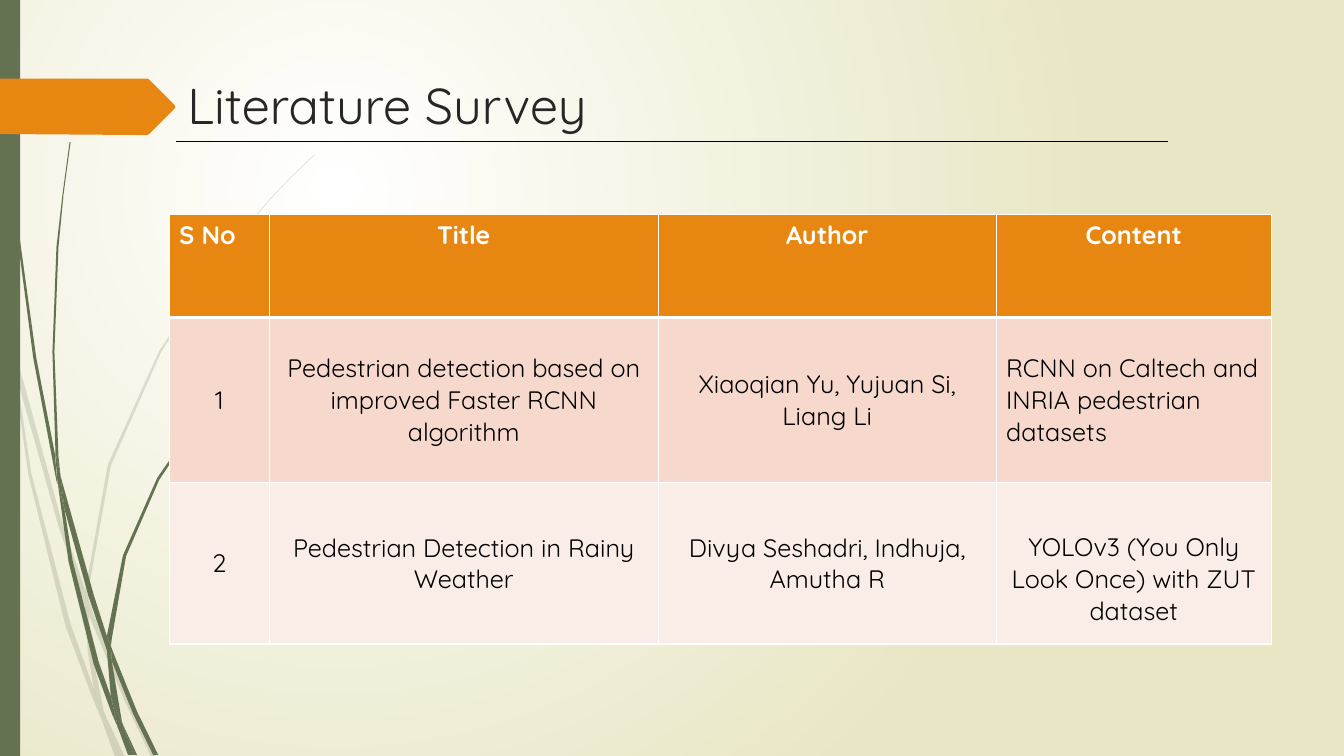
from lxml import etree
from pptx import Presentation
from pptx.dml.color import RGBColor
from pptx.enum import shapes, text
from pptx.oxml import ns
from pptx.util import Inches, Pt

GREEN = RGBColor(0x64, 0x72, 0x52)
ORANGE = RGBColor(0xE7, 0x87, 0x12)
PEACH = RGBColor(0xF6, 0xD9, 0xCC)
PALE_PEACH = RGBColor(0xFA, 0xED, 0xE7)
CREAM = RGBColor(0xE8, 0xE6, 0xC4)
WHITE = RGBColor(0xFF, 0xFF, 0xFF)
BLACK = RGBColor(0, 0, 0)
CHARCOAL = RGBColor(0x26, 0x26, 0x26)
LEFT, CENTER = text.PP_ALIGN.LEFT, text.PP_ALIGN.CENTER


def write(frame, words, size=18, color=BLACK, bold=False, align=LEFT):
    frame.word_wrap = True
    paragraph = frame.paragraphs[0]
    paragraph.alignment = align
    run = paragraph.add_run()
    run.text = words
    run.font.name = "Quicksand"
    run.font.size = Pt(size)
    run.font.bold = bold
    run.font.color.rgb = color


def draw_outline(parent, points, color):
    """Fill a closed outline given in hundredths of an inch."""
    builder = parent.build_freeform(*points[0], scale=Inches(0.01))
    builder.add_line_segments(points[1:], close=True)
    shape = builder.convert_to_shape()
    shape.shadow.inherit = False
    shape.fill.solid()
    shape.fill.fore_color.rgb = color
    shape.line.fill.background()
    return shape


presentation = Presentation()
presentation.slide_width = Inches(13.33)
presentation.slide_height = Inches(7.5)
slide = presentation.slides.add_slide(presentation.slide_layouts[6])

# Background: round glow centred in the upper left
background = slide.background.fill
background.gradient()
for stop, color in zip(background.gradient_stops, (WHITE, CREAM)):
    stop.color.rgb = color
gradient = slide._element.find(".//" + ns.qn("a:gradFill"))
gradient.remove(gradient.find(ns.qn("a:lin")))
glow = etree.SubElement(gradient, ns.qn("a:path"), path="circle")
etree.SubElement(glow, ns.qn("a:fillToRect"), l="25000", t="25000", r="75000", b="75000")

# Grass: pale blades behind, solid blades in front
pale_blades = [
    [(11, 350), (9, 322), (0, 282), (0, 299), (10, 344)],
    [(58, 522), (84, 599), (85, 586), (62, 520), (14, 345), (17, 376)],
    [(92, 607), (88, 596), (88, 610), (123, 694), (150, 751), (155, 751), (127, 692)],
    [(119, 751), (124, 751), (105, 711)],
    [(93, 683), (70, 619), (31, 469), (17, 376), (11, 350), (28, 470), (65, 621),
     (92, 693), (101, 714), (99, 707)],
    [(84, 599), (87, 646), (93, 683), (96, 692), (105, 711), (103, 706), (91, 646),
     (88, 610), (88, 608)],
    [(88, 584), (110, 462), (160, 349), (229, 245), (268, 198), (290, 175), (312, 154),
     (312, 153), (289, 175), (268, 197), (228, 244), (158, 348), (107, 461), (85, 584),
     (85, 586), (88, 596)],
    [(101, 714), (114, 751), (119, 751)],
    [(88, 608), (88, 610), (88, 596), (85, 586), (84, 599)],
    [(96, 692), (93, 683), (99, 707), (101, 714), (119, 751), (105, 711)],
]
solid_blades = [
    [(7, 110), (17, 233), (33, 355), (56, 477), (57, 481), (55, 457), (55, 453), (36, 355),
     (19, 232), (8, 109), (5, 48), (4, 0), (3, 0), (4, 48)],
    [(88, 592), (106, 645), (106, 633), (106, 631), (93, 590), (60, 472), (64, 505)],
    [(113, 649), (110, 641), (111, 656), (132, 708), (152, 749), (157, 749), (136, 706)],
    [(110, 691), (98, 657), (72, 556), (64, 505), (57, 477), (68, 557), (93, 659),
     (111, 708), (117, 722), (116, 717)],
    [(60, 472), (58, 453), (54, 349), (58, 245), (63, 193), (70, 141), (69, 141), (62, 193),
     (56, 245), (52, 349), (55, 449)],
    [(133, 749), (136, 749), (122, 719)],
    [(57, 477), (64, 505), (60, 472), (55, 449), (55, 453)],
    [(111, 633), (125, 552), (158, 476), (205, 406), (231, 374), (245, 359), (261, 344),
     (260, 344), (245, 358), (231, 373), (204, 405), (156, 474), (122, 551), (106, 631),
     (110, 641)],
    [(117, 722), (127, 749), (131, 749)],
    [(106, 645), (110, 691), (116, 706), (122, 719), (121, 716), (111, 656), (109, 651)],
    [(106, 645), (109, 651), (111, 656), (110, 641), (106, 631), (106, 633)],
    [(116, 706), (110, 691), (116, 717), (117, 722), (130, 749), (133, 749), (122, 719)],
]
for blades, opacity in ((pale_blades, 20), (solid_blades, 100)):
    tuft = slide.shapes.add_group_shape()
    for points in blades:
        blade = draw_outline(tuft.shapes, points, GREEN)
        if opacity < 100:
            fill_color = blade._element.spPr.find(".//" + ns.qn("a:srgbClr"))
            etree.SubElement(fill_color, ns.qn("a:alpha"), val=str(opacity * 1000))

# Left band and title arrow
band = slide.shapes.add_shape(shapes.MSO_SHAPE.RECTANGLE, 0, 0, Inches(0.2), Inches(7.5))
band.shadow.inherit = False
band.fill.solid()
band.fill.fore_color.rgb = GREEN
band.line.fill.background()
draw_outline(slide.shapes, [(173, 108), (148, 133), (146, 134), (136, 134), (0, 133), (0, 78),
                            (146, 78), (148, 79), (173, 104), (174, 106)], ORANGE)

# Title
title = slide.shapes.add_textbox(Inches(1.76), Inches(0.67), Inches(9.81), Inches(0.74))
title.text_frame.vertical_anchor = text.MSO_ANCHOR.MIDDLE
write(title.text_frame, "Literature Survey", size=36, color=CHARCOAL)

# Survey table
rows = [
    ["S No", "Title", "Author", "Content"],
    ["1", "Pedestrian detection based on improved Faster RCNN algorithm",
     "Xiaoqian Yu, Yujuan Si, Liang Li", "RCNN on Caltech and INRIA pedestrian datasets"],
    ["2", "Pedestrian Detection in Rainy Weather", "Divya Seshadri, Indhuja, Amutha R",
     "YOLOv3 (You Only Look Once) with ZUT dataset"],
]
row_fills = [ORANGE, PEACH, PALE_PEACH]
left_aligned = {(0, 0), (1, 3)}
table = slide.shapes.add_table(3, 4, Inches(1.68), Inches(2.13), Inches(10.93), Inches(4.26)).table
for column, width in zip(table.columns, (0.99, 3.86, 3.35, 2.73)):
    column.width = Inches(width)
for row, height in zip(table.rows, (1.02, 1.64, 1.6)):
    row.height = Inches(height)
for r, row_words in enumerate(rows):
    is_header = r == 0
    for c, words in enumerate(row_words):
        cell = table.cell(r, c)
        cell.vertical_anchor = text.MSO_ANCHOR.TOP if is_header else text.MSO_ANCHOR.MIDDLE
        write(cell.text_frame, words, color=WHITE if is_header else BLACK, bold=is_header,
              align=LEFT if (r, c) in left_aligned else CENTER)
        properties = cell._tc.get_or_add_tcPr()
        for side in "LRTB":
            heavy = (r, side) in ((0, "B"), (1, "T"))
            border = etree.SubElement(properties, ns.qn("a:ln" + side),
                                      w=str(Pt(3 if heavy else 1)))
            border_fill = etree.SubElement(border, ns.qn("a:solidFill"))
            etree.SubElement(border_fill, ns.qn("a:srgbClr"), val=str(WHITE))
        cell.fill.solid()
        cell.fill.fore_color.rgb = row_fills[r]
table.cell(2, 3).margin_top = Inches(0.36)

# Rule under the title
rule = slide.shapes.add_connector(shapes.MSO_CONNECTOR.STRAIGHT, Inches(1.75), Inches(1.4),
                                  Inches(11.58), Inches(1.4))
rule.line.color.rgb = BLACK
rule.line.width = Pt(0.75)
etree.SubElement(rule._element.spPr, ns.qn("a:effectLst"))

presentation.save("out.pptx")
